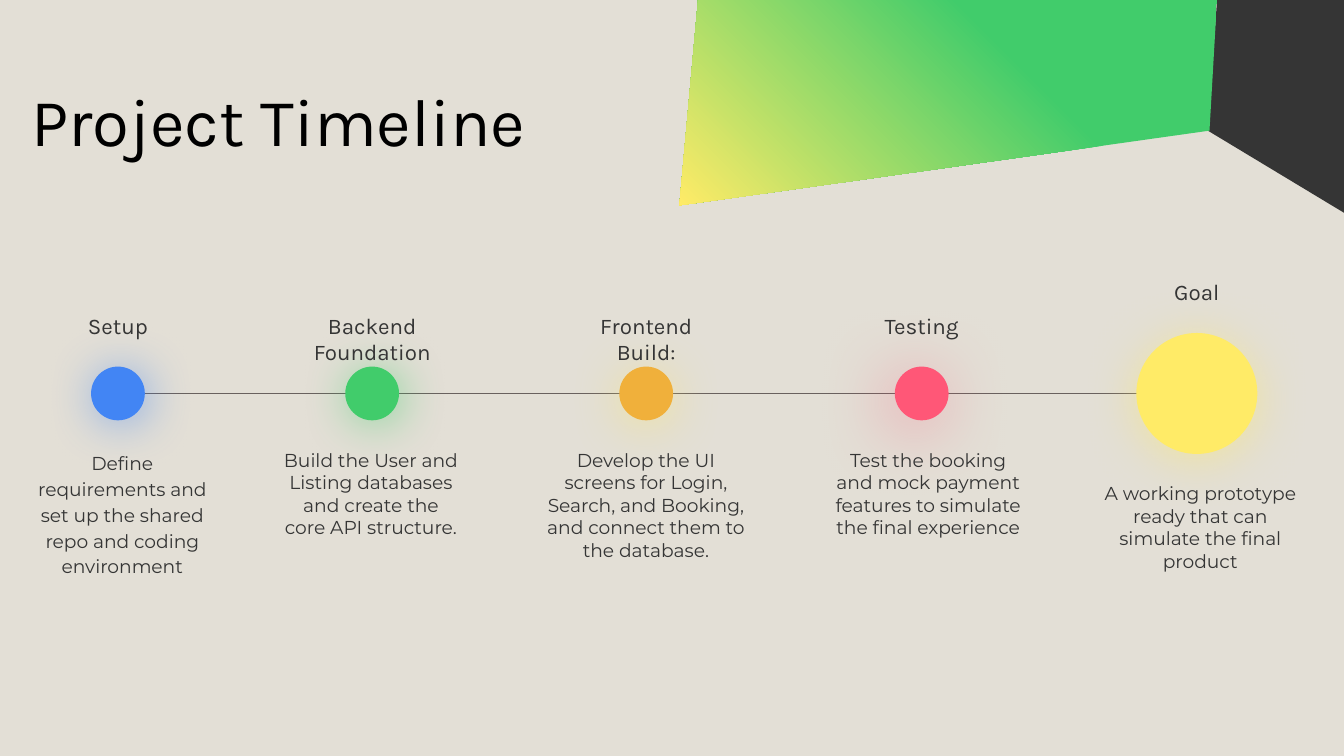
import pptx
import pptx.util
import pptx.dml.color
import pptx.enum.shapes
import pptx.enum.text
import pptx.oxml
import pptx.oxml.ns
from lxml import etree

Pt = pptx.util.Pt
RGB = pptx.dml.color.RGBColor.from_string
ALIGN = pptx.enum.text.PP_ALIGN
ANCHOR = pptx.enum.text.MSO_ANCHOR
NS = pptx.oxml.ns.nsdecls("a")
HUES = {"sand": "E3DFD6", "dark": "353535", "line": "69615E", "black": "000000",
        "blue": "4285F4", "green": "41CC6B", "amber": "F0B03B",
        "pink": "FF5777", "yellow": "FFEB67"}


def write(shape, text, font, size, hue, align, gap, anchor):
    frame = shape.text_frame
    frame.word_wrap = True
    frame.auto_size = pptx.enum.text.MSO_AUTO_SIZE.NONE
    frame.vertical_anchor = anchor
    frame.margin_left = frame.margin_right = Pt(7.2)
    frame.margin_top = frame.margin_bottom = Pt(7.2)
    para = frame.paragraphs[0]
    para.alignment = align
    para.line_spacing = gap
    para.space_before = Pt(0)
    run = para.add_run()
    run.text = text
    run.font.name = font
    run.font.size = Pt(size)
    run.font.color.rgb = RGB(HUES[hue])


def outline(points):
    start, *rest = points
    build = slide.shapes.build_freeform(*start, scale=12700)
    build.add_line_segments(rest, close=True)
    shape = build.convert_to_shape()
    shape.shadow.inherit = False
    shape.line.fill.background()
    return shape


deck = pptx.Presentation()
deck.slide_width, deck.slide_height = Pt(720), Pt(405)
slide = deck.slides.add_slide(deck.slide_layouts[5])
slide.background.fill.solid()
slide.background.fill.fore_color.rgb = RGB(HUES["sand"])

# Corner shapes
corner = outline([(646.8, 70), (720, 113.5), (720, 0), (651.6, 0)])
corner.fill.solid()
corner.fill.fore_color.rgb = RGB(HUES["dark"])

panel = outline([(374, 0), (363.6, 110.4), (648, 70), (651.6, 0)])
stops = "".join(f'<a:gs pos="{pos * 1000}"><a:srgbClr val="{HUES[hue]}"/></a:gs>'
                for pos, hue in [(0, "green"), (35, "green"), (100, "yellow")])
grad = pptx.oxml.parse_xml(
    f'<a:gradFill {NS} rotWithShape="1"><a:gsLst>{stops}</a:gsLst>'
    f'<a:lin ang="{135 * 60000}" scaled="0"/></a:gradFill>')
geom = panel._element.spPr.find(pptx.oxml.ns.qn("a:custGeom"))
geom.addnext(grad)

# Title
title = slide.shapes.title
title.left, title.top, title.width, title.height = Pt(9.4), Pt(39.6), Pt(458.6), Pt(54)
write(title, "Project Timeline", "Karla", 36, "black", ALIGN.LEFT, 0.9, ANCHOR.MIDDLE)

# Timeline
mid = 210.8
line = slide.shapes.add_connector(
    pptx.enum.shapes.MSO_CONNECTOR.STRAIGHT, Pt(54), Pt(mid), Pt(658.8), Pt(mid))
line.line.color.rgb = RGB(HUES["line"])
line.line.width = Pt(0.75)
etree.SubElement(line._element.spPr, pptx.oxml.ns.qn("a:effectLst"))

# Steps: centre, dot size, hue, glow (hue, alpha, blur, distance, angle),
# heading, heading width, text, text left, text width, line spacing
cool = (56, 25.9, 2.2, 45)
warm = ("yellow", 50, 27, 3, 90)
steps = [
    (63.2, 28.8, "blue", ("blue", *cool), "Setup", 64.8,
     "Define requirements and set up the shared repo and coding environment",
     11.5, 108, 1.15),
    (199.4, 28.8, "green", ("green", *cool), "Backend Foundation", 117.4,
     "Build the User and Listing databases and create the core API structure.",
     144.7, 108, 1),
    (346.2, 28.8, "amber", warm, "Frontend Build:", 64.8,
     "Develop the UI screens for Login, Search, and Booking, "
     "and connect them to the database.", 283.7, 124.6, 1),
    (493.8, 28.8, "pink", ("pink", 50, 38.2, 6, 130), "Testing", 64.8,
     "Test the booking and mock payment features to simulate the final experience",
     438.5, 117.4, 1),
    (641.2, 64.8, "yellow", warm, "Goal", 64.8,
     "A working prototype ready that can simulate the final product",
     578.2, 129.6, 1),
]
for x, size, hue, glow, head, wide, text, left, span, gap in steps:
    top = mid - size / 2
    dot = slide.shapes.add_shape(pptx.enum.shapes.MSO_SHAPE.OVAL,
                                 Pt(x - size / 2), Pt(top), Pt(size), Pt(size))
    dot.fill.solid()
    dot.fill.fore_color.rgb = RGB(HUES[hue])
    dot.line.fill.background()
    tint, alpha, blur, dist, turn = glow
    dot._element.spPr.append(pptx.oxml.parse_xml(
        f'<a:effectLst {NS}><a:outerShdw blurRad="{Pt(blur)}" dist="{Pt(dist)}" '
        f'dir="{turn * 60000}" algn="bl" rotWithShape="0">'
        f'<a:srgbClr val="{HUES[tint]}"><a:alpha val="{alpha * 1000}"/></a:srgbClr>'
        f'</a:outerShdw></a:effectLst>'))

    # Heading above and text below the dot
    box = slide.shapes.add_textbox(Pt(x - wide / 2), Pt(top - 36.6), Pt(wide), Pt(28.8))
    write(box, head, "Karla", 12, "dark", ALIGN.CENTER, 1, ANCHOR.TOP)
    box = slide.shapes.add_textbox(Pt(left), Pt(top + size + 8), Pt(span), Pt(83.5))
    write(box, text, "Montserrat", 10, "dark", ALIGN.CENTER, gap, ANCHOR.TOP)

deck.save("out.pptx")
